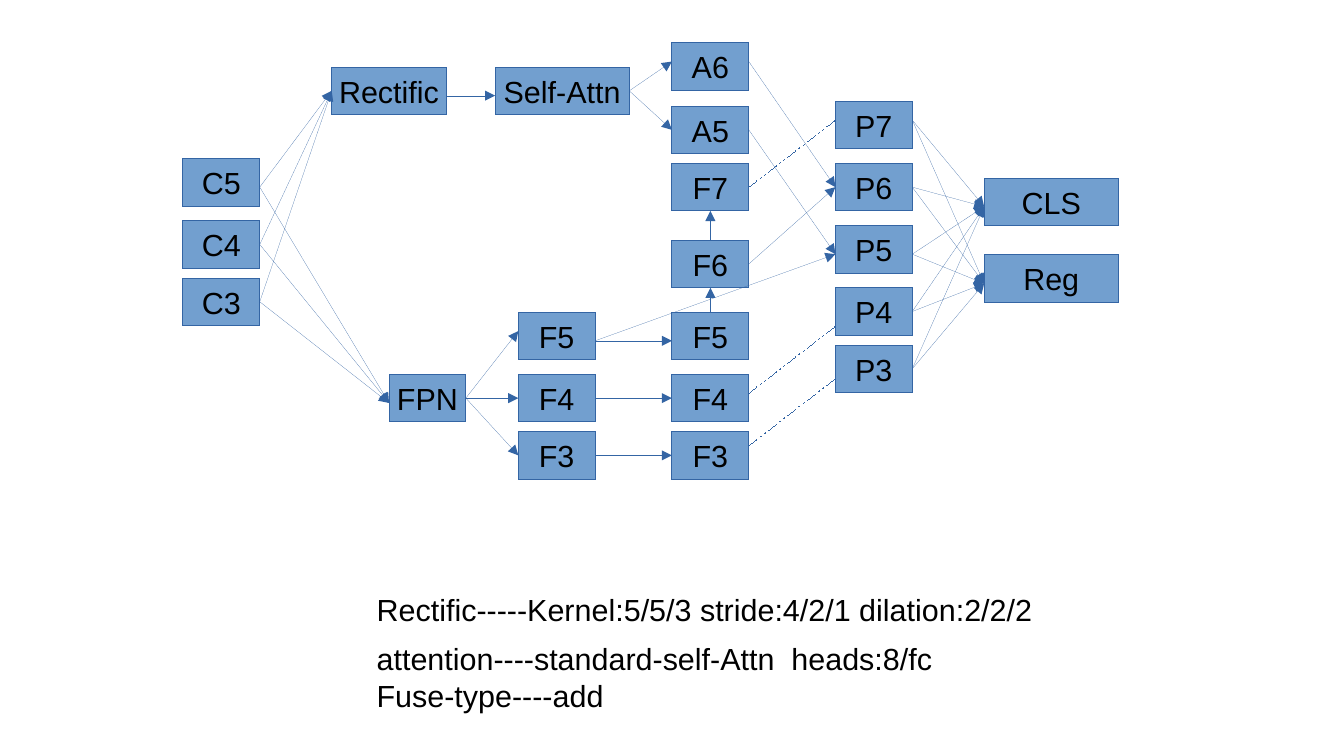
from lxml.etree import SubElement
from pptx import Presentation
from pptx.dml.color import RGBColor
from pptx.enum.dml import MSO_LINE_DASH_STYLE as Dash
from pptx.enum.shapes import MSO_CONNECTOR, MSO_SHAPE
from pptx.enum.text import MSO_ANCHOR, MSO_AUTO_SIZE, PP_ALIGN
from pptx.oxml.ns import qn
from pptx.util import Inches, Pt

COLORS = {"fill": "729FCF", "line": "3465A4", "text": "000000"}
FONT, TEXT_SIZE = "Arial", 18
BOX_HEIGHT = 0.39
TOP, LEFT, BOTTOM, RIGHT = range(4)

# Left, width, and the top of each box; the first word of a name is its label.
COLUMNS = [
    (1.5, 0.63, {"C5": 1.3, "C4": 1.81, "C3": 2.28}),
    (2.72, 0.94, {"Rectific": 0.55}),
    (3.19, 0.63, {"FPN": 3.07}),
    (4.06, 1.1, {"Self-Attn": 0.55}),
    (4.25, 0.63, {"F5": 2.56, "F4": 3.07, "F3": 3.54}),
    (5.51, 0.63, {"A6": 0.35, "A5": 0.87, "F7": 1.34, "F6": 1.97,
                  "F5 pyramid": 2.56, "F4 pyramid": 3.07, "F3 pyramid": 3.54}),
    (6.85, 0.63, {"P7": 0.83, "P6": 1.34, "P5": 1.85, "P4": 2.36, "P3": 2.83}),
    (8.07, 1.1, {"CLS": 1.46, "Reg": 2.09}),
]

# Each source leads to each of its targets.
ARROWS = [
    (["C5", "C4", "C3"], ["FPN", "Rectific"]),
    (["Rectific"], ["Self-Attn"]),
    (["Self-Attn"], ["A6", "A5"]),
    (["FPN"], ["F5", "F4", "F3"]),
    (["F5"], ["F5 pyramid", "P5"]),
    (["F4"], ["F4 pyramid"]),
    (["F3"], ["F3 pyramid"]),
    (["A6", "F6"], ["P6"]),
    (["A5"], ["P5"]),
    (["P7", "P6", "P5", "P4", "P3"], ["CLS", "Reg"]),
]
UPWARD = [("F5 pyramid", "F6"), ("F6", "F7")]
DASHED = [("F7", "P7"), ("F4 pyramid", "P4"), ("F3 pyramid", "P3")]

# Distance of a line end below the middle of the side; other ends are centred.
SHIFTS = {
    LEFT: {"FPN": 0.04, "Self-Attn": 0.04, "A6": -0.04, "F5": -0.04,
           "F5 pyramid": 0.04, "P7": -0.04, "P5": 0.04, "P4": 0.12,
           "P3": 0.08, "CLS": 0.04, "Reg": 0.04},
    RIGHT: {"C5": 0.04, "Rectific": 0.04, "A6": -0.04, "F5": 0.04,
            "F4 pyramid": -0.04, "F3 pyramid": -0.08, "P7": -0.04, "P5": 0.04},
}

# Left, top, width, height and lines of each note.
NOTES = [
    (2.99, 4.8, 5.58, 0.38,
     ["Rectific-----Kernel:5/5/3 stride:4/2/1 dilation:2/2/2"]),
    (2.99, 5.2, 5.36, 0.66,
     ["attention----standard-self-Attn  heads:8/fc", "Fuse-type----add"]),
]


def color(name):
    return RGBColor.from_string(COLORS[name])


def add_span(para, text):
    span = para.add_run()
    span.text = text
    span.font.name, span.font.size = FONT, Pt(TEXT_SIZE)
    span.font.color.rgb = color("text")


def draw_hairline(shape):
    """Give the shape the thinnest line, and return the line's XML element."""
    shape.line.color.rgb = color("line")
    outline = shape._element.spPr.find(qn("a:ln"))
    outline.set("w", "0")
    return outline


def add_box(page, label, left, top, width):
    box = page.shapes.add_shape(MSO_SHAPE.RECTANGLE, Inches(left), Inches(top),
                                Inches(width), Inches(BOX_HEIGHT))
    box.shadow.inherit = False
    box.fill.solid()
    box.fill.fore_color.rgb = color("fill")
    draw_hairline(box)
    frame = box.text_frame
    frame.word_wrap = False
    frame.vertical_anchor = MSO_ANCHOR.MIDDLE
    para = frame.paragraphs[0]
    para.alignment = PP_ALIGN.CENTER
    add_span(para, label)
    return box


def side_point(box, name, side):
    """Return where a line meets a side, and whether that is its middle."""
    if side in (TOP, BOTTOM):
        y = box.top if side == TOP else box.top + box.height
        return box.left + box.width // 2, y, True
    shift = SHIFTS[side].get(name, 0)
    x = box.left if side == LEFT else box.left + box.width
    return x, box.top + box.height // 2 + Inches(shift), shift == 0


def add_link(page, boxes, source, target, out_side=RIGHT, in_side=LEFT,
             dashed=False):
    x1, y1, source_centred = side_point(boxes[source], source, out_side)
    x2, y2, target_centred = side_point(boxes[target], target, in_side)
    link = page.shapes.add_connector(MSO_CONNECTOR.STRAIGHT, x1, y1, x2, y2)
    if source_centred:
        link.begin_connect(boxes[source], out_side)
    if target_centred:
        link.end_connect(boxes[target], in_side)
    outline = draw_hairline(link)
    if dashed:
        link.line.dash_style = Dash.DASH_DOT_DOT
    else:
        SubElement(outline, qn("a:tailEnd"), type="triangle")
    SubElement(link._element.spPr, qn("a:effectLst"))


def add_note(page, left, top, width, height, lines):
    frame = page.shapes.add_textbox(Inches(left), Inches(top), Inches(width),
                                    Inches(height)).text_frame
    frame.word_wrap = False
    frame.auto_size = MSO_AUTO_SIZE.SHAPE_TO_FIT_TEXT
    for index, line in enumerate(lines):
        para = frame.add_paragraph() if index else frame.paragraphs[0]
        add_span(para, line)


def main():
    deck = Presentation()
    deck.slide_width, deck.slide_height = Inches(11.02), Inches(6.2)
    page = deck.slides.add_slide(deck.slide_layouts[6])
    boxes = {name: add_box(page, name.split()[0], left, top, width)
             for left, width, tops in COLUMNS for name, top in tops.items()}
    for sources, targets in ARROWS:
        for source in sources:
            for target in targets:
                add_link(page, boxes, source, target)
    for source, target in UPWARD:
        add_link(page, boxes, source, target, TOP, BOTTOM)
    for source, target in DASHED:
        add_link(page, boxes, source, target, dashed=True)
    for note in NOTES:
        add_note(page, *note)
    deck.save("out.pptx")


if __name__ == "__main__":
    main()
